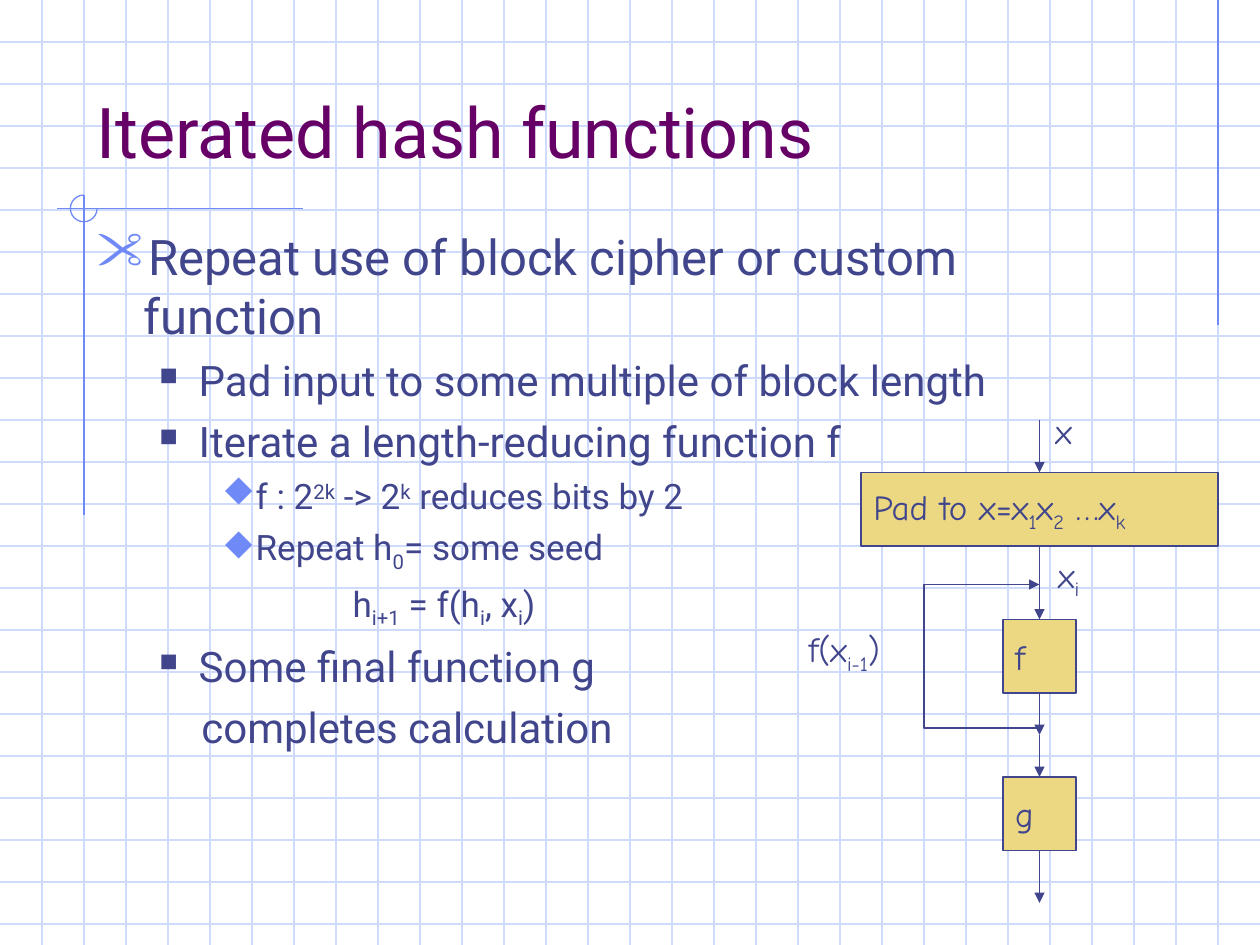
from lxml import etree
from pptx import Presentation
from pptx.dml.color import RGBColor
from pptx.enum.shapes import MSO_CONNECTOR as Connector, MSO_SHAPE as Shape
from pptx.enum.text import MSO_ANCHOR as Anchor, MSO_AUTO_SIZE as AutoSize, PP_ALIGN as Align
from pptx.oxml.ns import qn
from pptx.util import Pt

COLORS = {"grid": "CFDBFD", "accent": "6F89F7", "title": "660066", "ink": "40458C", "box": "ECD882"}
WIDTH, HEIGHT, GRID = 720, 540, 24
FLOW_X, LOOP_X = 594, 528
BASELINES = {"^": "30000", "_": "-25000"}
SCISSORS, SQUARE, DIAMOND = ('"', "accent", 110), ("n", "ink", 60), ("u", "accent", 95)
OUTLINE = [
    (["Repeat use of block cipher or custom function"], 28, 27, -27, 0, SCISSORS),
    (["Pad input to some multiple of block length"], 24, 58.5, -22.5, 6, SQUARE),
    (["Iterate a length-reducing function f"], 24, 58.5, -22.5, 6, SQUARE),
    (["f : 2", "^2k", " -> 2", "^k", " reduces bits by 2"], 20, 90, -18, 5, DIAMOND),
    (["Repeat h", "_0", "= some seed"], 20, 90, -18, 5, DIAMOND),
    (["h", "_i+1", " = f(h", "_i", ", x", "_i", ")"], 20, 146.5, 0, 5, None),
    (["Some final function g"], 24, 58.5, -22.5, 6, SQUARE),
    (["completes calculation"], 24, 60, 0, 6, None),
]


def color(name):
    """Return the named palette colour."""
    return RGBColor.from_string(COLORS[name])


def style_line(shape, name, width, arrow=False):
    """Set colour, width and optional arrowhead of an outline."""
    shape.line.color.rgb = color(name)
    shape.line.width = Pt(width)
    if arrow:
        etree.SubElement(shape.line._get_or_add_ln(), qn("a:tailEnd"), type="triangle")


def add_line(slide, start, end, name, width=0.75, arrow=False):
    """Draw a straight line without shadow."""
    points = [Pt(value) for value in (*start, *end)]
    connector = slide.shapes.add_connector(Connector.STRAIGHT, *points)
    style_line(connector, name, width, arrow)
    etree.SubElement(connector.element.spPr, qn("a:effectLst"))


def write_pieces(paragraph, pieces, size, font):
    """Write runs, where a leading ^ or _ raises or lowers the piece."""
    for piece in pieces:
        run = paragraph.add_run()
        baseline = BASELINES.get(piece[0])
        run.text = piece[1:] if baseline else piece
        run.font.name, run.font.size = font, Pt(size)
        run.font.color.rgb = color("ink")
        if baseline:
            run._r.get_or_add_rPr().set("baseline", baseline)


def add_bullet(paragraph, character, name, percent):
    """Give a paragraph a coloured, scaled bullet from the symbol font."""
    properties = paragraph._p.get_or_add_pPr()
    bullet_color = etree.SubElement(properties, qn("a:buClr"))
    etree.SubElement(bullet_color, qn("a:srgbClr"), val=COLORS[name])
    etree.SubElement(properties, qn("a:buSzPct"), val=str(percent * 1000))
    etree.SubElement(properties, qn("a:buFont"), typeface="Wingdings", pitchFamily="2", charset="2")
    etree.SubElement(properties, qn("a:buChar"), char=character)


def write_label(shape, pieces):
    """Write left-aligned diagram text, centred vertically."""
    frame = shape.text_frame
    frame.word_wrap = False
    frame.vertical_anchor = Anchor.MIDDLE
    paragraph = frame.paragraphs[0]
    paragraph.alignment = Align.LEFT
    write_pieces(paragraph, pieces, 20, "Comic Neue")


def add_box(slide, kind, left, top, width, pieces):
    """Draw one filled step of the diagram."""
    box = slide.shapes.add_shape(kind, Pt(left), Pt(top), Pt(width), Pt(42))
    box.shadow.inherit = False
    box.fill.solid()
    box.fill.fore_color.rgb = color("box")
    style_line(box, "ink", 1)
    write_label(box, pieces)


def add_label(slide, left, top, width, height, pieces):
    """Place a free label beside an arrow."""
    write_label(slide.shapes.add_textbox(Pt(left), Pt(top), Pt(width), Pt(height)), pieces)


def add_background(slide):
    """Draw the grid, the accent lines and the open circle."""
    for y in range(GRID, HEIGHT, GRID):
        add_line(slide, (0, y), (WIDTH, y), "grid")
    for x in range(GRID, WIDTH, GRID):
        add_line(slide, (x, 0), (x, HEIGHT), "grid")
    for start, end in [((696, 0), (696, 186)), ((173, 119), (32.5, 119)), ((48, 111.5), (48, 294.5))]:
        add_line(slide, start, end, "accent")
    arc = slide.shapes.add_shape(Shape.ARC, Pt(40.25), Pt(111.5), Pt(15.25), Pt(15.25))
    arc.adjustments[0], arc.adjustments[1] = 0, 162
    arc.shadow.inherit = False
    arc.fill.background()
    style_line(arc, "accent", 0.75)


def add_title(slide, text):
    """Place the title above the background."""
    title = slide.shapes.title
    title.element.getparent().append(title.element)
    title.left, title.top, title.width, title.height = Pt(48), Pt(24), Pt(612), Pt(78)
    frame = title.text_frame
    frame.text = text
    frame.auto_size = AutoSize.NONE
    frame.vertical_anchor = Anchor.BOTTOM
    frame.paragraphs[0].alignment = Align.LEFT
    font = frame.paragraphs[0].runs[0].font
    font.name, font.size = "Roboto", Pt(40)
    font.color.rgb = color("title")


def add_outline(slide):
    """Write the bulleted outline."""
    frame = slide.shapes.add_textbox(Pt(48), Pt(126), Pt(612), Pt(324)).text_frame
    frame.word_wrap = True
    for index, (pieces, size, margin, indent, before, bullet) in enumerate(OUTLINE):
        paragraph = frame.add_paragraph() if index else frame.paragraphs[0]
        properties = paragraph._p.get_or_add_pPr()
        properties.set("marL", str(Pt(margin)))
        properties.set("indent", str(Pt(indent)))
        if bullet:
            add_bullet(paragraph, *bullet)
        paragraph.space_before = Pt(before)
        write_pieces(paragraph, pieces, size, "Roboto")


def add_diagram(slide):
    """Draw the flow from the padded input through f to g."""
    add_box(slide, Shape.FLOWCHART_PROCESS, 492, 270, 204, ["Pad to x=x", "_1", "x", "_2", " …x", "_k"])
    for top, name in [(354, "f"), (444, "g")]:
        add_box(slide, Shape.RECTANGLE, FLOW_X - 21, top, 42, [name])
    for start, end in [(240, 270), (312, 354), (396, 420), (420, 444), (486, 516)]:
        add_line(slide, (FLOW_X, start), (FLOW_X, end), "ink", 1, True)
    builder = slide.shapes.build_freeform(Pt(FLOW_X), Pt(416))
    corners = [(LOOP_X, 416), (LOOP_X, 334), (FLOW_X, 334)]
    builder.add_line_segments([(Pt(x), Pt(y)) for x, y in corners], close=False)
    loop = builder.convert_to_shape()
    loop.shadow.inherit = False
    loop.fill.background()
    style_line(loop, "ink", 1, True)
    add_label(slide, 597.5, 312.5, 26.5, 34.5, ["x", "_i"])
    add_label(slide, 455, 355, 55.5, 34.5, ["f(x", "_i-1", ")"])
    add_label(slide, 596, 230.5, 24, 31.5, ["x"])


def main():
    """Build and save the slide."""
    presentation = Presentation()
    presentation.slide_width, presentation.slide_height = Pt(WIDTH), Pt(HEIGHT)
    slide = presentation.slides.add_slide(presentation.slide_layouts[5])
    add_background(slide)
    add_title(slide, "Iterated hash functions")
    add_outline(slide)
    add_diagram(slide)
    presentation.save("out.pptx")


if __name__ == "__main__":
    main()
